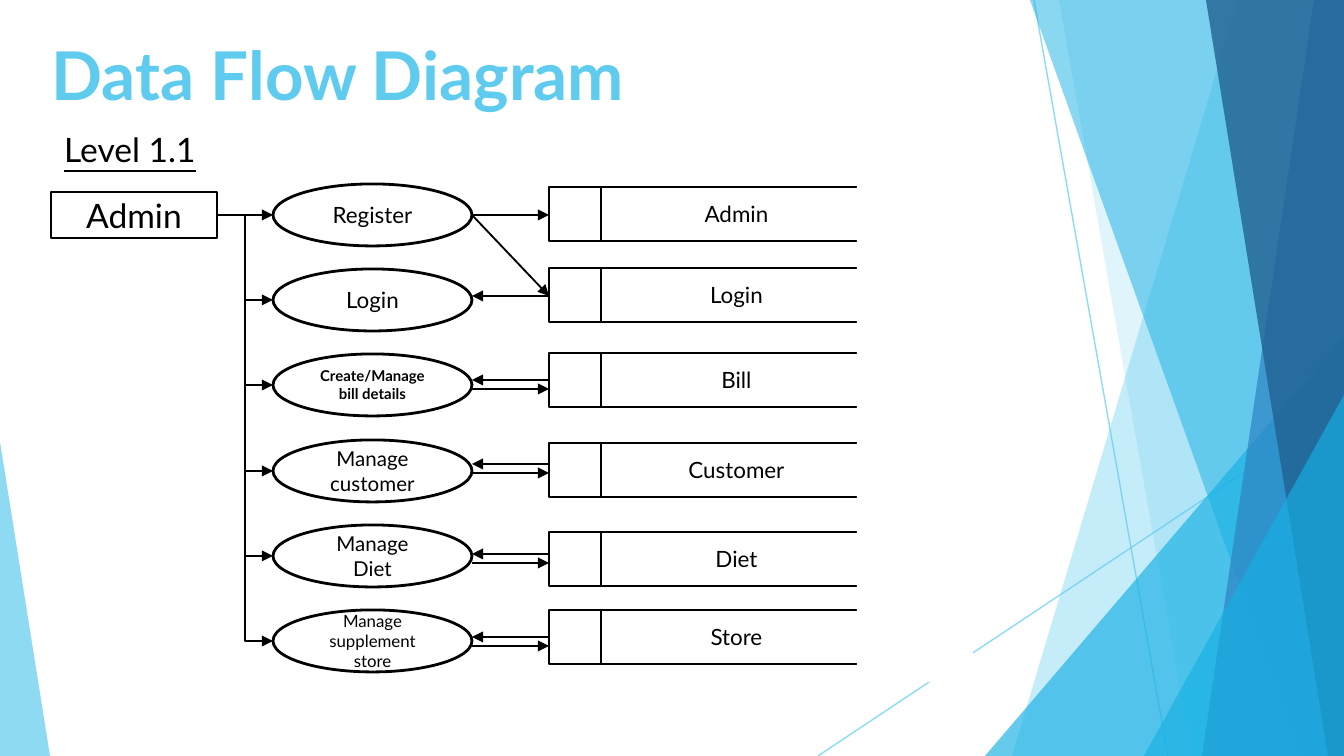
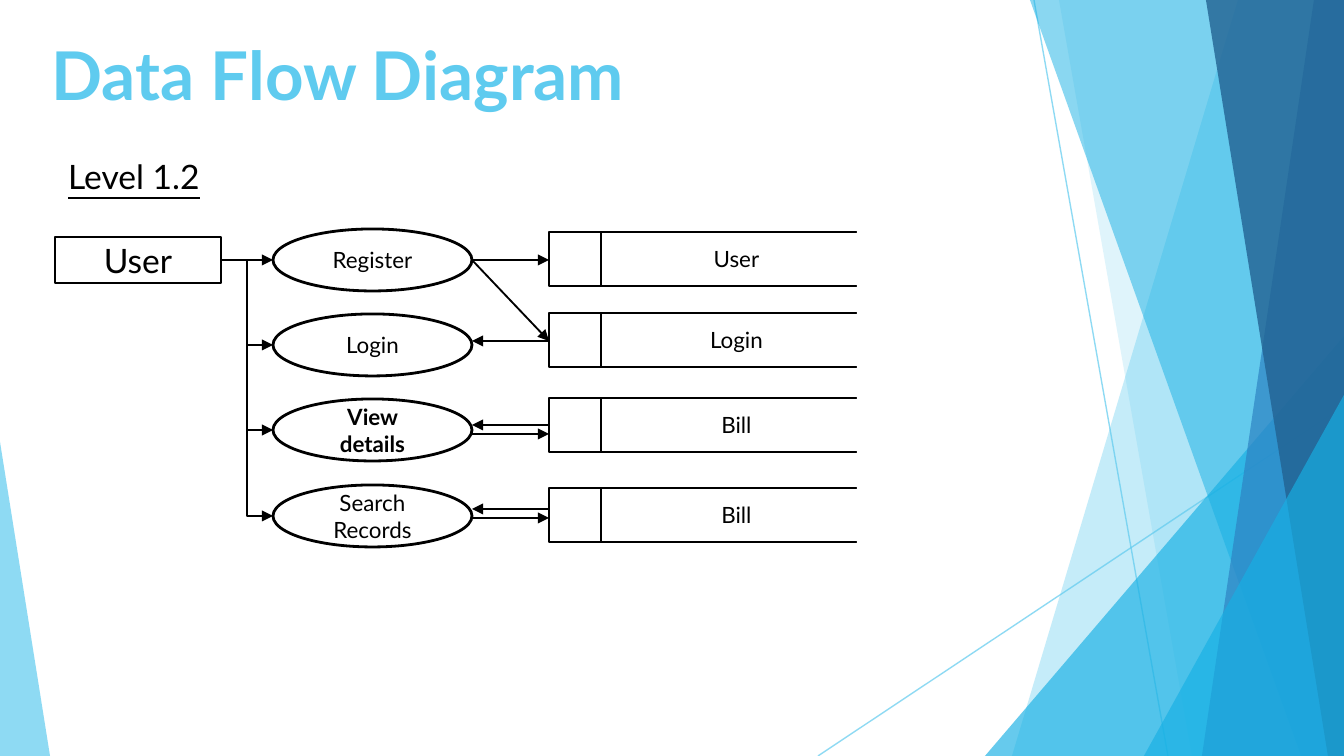
from pptx import Presentation
from pptx.dml.color import RGBColor
from pptx.enum.shapes import MSO_CONNECTOR, MSO_SHAPE
from pptx.enum.text import MSO_ANCHOR, PP_ALIGN
from pptx.oxml.ns import qn
from pptx.util import Emu, Pt
from lxml.etree import SubElement

WIDE, HIGH = 1344, 756
SCALE = 9144000 / WIDE
FONT = "Lato"
COLORS = {
    "sky": "5FCBEF",
    "cyan": "17B0E4",
    "blue": "2E83C3",
    "navy": "226292",
    "ink": "000000",
    "paper": "FFFFFF",
}

TOP = 215
OVAL_X, OVAL_W, OVAL_H = 273, 199, 62
STORE_X, STORE_W, STORE_H, KEY_W = 549, 323, 54, 52
STORE_TOPS = [187, 268, 353, 443, 532, 610]
FLOW_TOPS = [215, 296, 380, 464, 554, 637]
FLOW_GAP = 9

ADMIN = [
    ("Register", 12, False, "Admin"),
    ("Login", 12, False, "Login"),
    ("Create/Manage bill details", 8, True, "Bill"),
    ("Manage customer", 11, False, "Customer"),
    ("Manage Diet", 11, False, "Diet"),
    ("Manage supplement store", 9, False, "Store"),
]
USER = [
    ("Register", 12, False, "User"),
    ("Login", 12, False, "Login"),
    ("View details", 12, True, "Bill"),
    ("Search Records", 12, False, "Bill"),
]


def px(n):
    return Emu(round(n * SCALE))


def tint(name):
    return RGBColor.from_string(COLORS[name])


def fade(shape, percent):
    for color in shape.element.spPr.iter(qn("a:srgbClr")):
        SubElement(color, qn("a:alpha")).set("val", str(percent * 1000))


def paint(shape, fill, line=None):
    shape.shadow.inherit = False
    shape.fill.solid()
    shape.fill.fore_color.rgb = tint(fill)
    if line:
        shape.line.color.rgb = tint(line)
        shape.line.width = Pt(1.5)
    else:
        shape.line.fill.background()


def write(shape, text, size, color="ink", bold=False, under=False,
          align=PP_ALIGN.CENTER, anchor=MSO_ANCHOR.MIDDLE):
    frame = shape.text_frame
    frame.word_wrap = True
    frame.vertical_anchor = anchor
    frame.text = text
    frame.paragraphs[0].alignment = align
    font = frame.paragraphs[0].runs[0].font
    font.name, font.size = FONT, Pt(size)
    font.bold, font.underline = bold, under
    font.color.rgb = tint(color)


def node(slide, kind, x, y, w, h, text="", size=12, bold=False, line="ink"):
    shape = slide.shapes.add_shape(kind, px(x), px(y), px(w), px(h))
    paint(shape, "paper", line)
    if text:
        write(shape, text, size, bold=bold)


def stroke(slide, start, end, color, width, kind=MSO_CONNECTOR.STRAIGHT):
    line = slide.shapes.add_connector(kind, *map(px, start + end))
    line.line.color.rgb = tint(color)
    line.line.width = Pt(width)
    SubElement(line.element.spPr, qn("a:effectLst"))
    return line


def arrow(slide, start, end, kind=MSO_CONNECTOR.STRAIGHT):
    line = stroke(slide, start, end, "ink", 1, kind)
    tail = SubElement(line.element.spPr.find(qn("a:ln")), qn("a:tailEnd"))
    tail.set("type", "triangle")


def band(slide, top, foot, color, alpha):
    path = slide.shapes.build_freeform(px(top), 0, scale=1.0)
    corners = [(WIDE, 0), (WIDE, HIGH), (foot, HIGH)]
    path.add_line_segments([(px(x), px(y)) for x, y in corners], close=True)
    shape = path.convert_to_shape()
    paint(shape, color)
    fade(shape, alpha)


def peak(slide, x, y, w, tip, color, alpha):
    shape = slide.shapes.add_shape(MSO_SHAPE.ISOSCELES_TRIANGLE,
                                   px(x), px(y), px(w), px(HIGH - y))
    shape.adjustments[0] = tip
    paint(shape, color)
    fade(shape, alpha)


def decor(slide):
    for start, end in [((1034, 0), (1168, HIGH)), ((WIDE, 406), (818, HIGH))]:
        fade(stroke(slide, start, end, "sky", 0.75), 70)
    band(slide, 1238, 1012, "sky", 36)
    band(slide, 1059, 1192, "sky", 20)
    peak(slide, 985, 336, 359, 1, "cyan", 66)
    band(slide, 1030, 1301, "cyan", 50)
    band(slide, 1314, 1202, "blue", 70)
    band(slide, 1206, 1328, "navy", 80)
    peak(slide, 1144, 395, 200, 1, "cyan", 66)
    peak(slide, 0, 442, 50, 0, "sky", 70)


def title(slide, text):
    box = slide.shapes.add_textbox(px(-239), px(11), px(1154), px(126))
    write(box, text, 36, "sky", bold=True)
    frame = box.text_frame
    frame.margin_top = frame.margin_bottom = px(13)


def label(slide, text, x, y, w):
    box = slide.shapes.add_textbox(px(x), px(y), px(w), px(54))
    write(box, text, 18, under=True, align=PP_ALIGN.LEFT, anchor=MSO_ANCHOR.TOP)


def store(slide, y, text):
    node(slide, MSO_SHAPE.RECTANGLE, STORE_X, y, STORE_W, STORE_H)
    node(slide, MSO_SHAPE.RECTANGLE, STORE_X + KEY_W, y, STORE_W - KEY_W, STORE_H, text)


def flows(slide, count, shift):
    near, far = OVAL_X + OVAL_W, STORE_X
    tops = [y + shift for y in FLOW_TOPS[:count]]
    arrow(slide, (near, tops[0]), (far, tops[0]))
    arrow(slide, (near, tops[0]), (far, tops[1]))
    arrow(slide, (far, tops[1]), (near, tops[1]))
    for y in tops[2:]:
        arrow(slide, (far, y), (near, y))
        arrow(slide, (near, y + FLOW_GAP), (far, y + FLOW_GAP))


def chart(slide, actor, left, rows, shift):
    mid = TOP + shift
    node(slide, MSO_SHAPE.RECTANGLE, left, mid - 23, 166, 46, actor, 18)
    for i, (task, size, bold, data) in enumerate(rows):
        y = mid + i * 256 // 3
        node(slide, MSO_SHAPE.OVAL, OVAL_X, y - OVAL_H // 2, OVAL_W, OVAL_H,
             task, size, bold)
        kind = MSO_CONNECTOR.ELBOW if i else MSO_CONNECTOR.STRAIGHT
        arrow(slide, (left + 166, mid), (OVAL_X, y), kind)
        store(slide, STORE_TOPS[i] + shift, data)
    flows(slide, len(rows), shift)


def page(deck, level, actor, left, rows, shift, tag, cover):
    slide = deck.slides.add_slide(deck.slide_layouts[6])
    decor(slide)
    title(slide, "Data Flow Diagram")
    chart(slide, actor, left, rows, shift)
    node(slide, MSO_SHAPE.RECTANGLE, *cover, line=None)
    label(slide, level, left, *tag)


def main():
    deck = Presentation()
    deck.slide_width, deck.slide_height = px(WIDE), px(HIGH)
    page(deck, "Level 1.1", "Admin", 51, ADMIN, 0, (122, 238), (857, 169, 116, 513))
    page(deck, "Level 1.2", "User", 55, USER, 45, (149, 187), (857, 172, 58, 391))
    deck.save("out.pptx")


if __name__ == "__main__":
    main()
